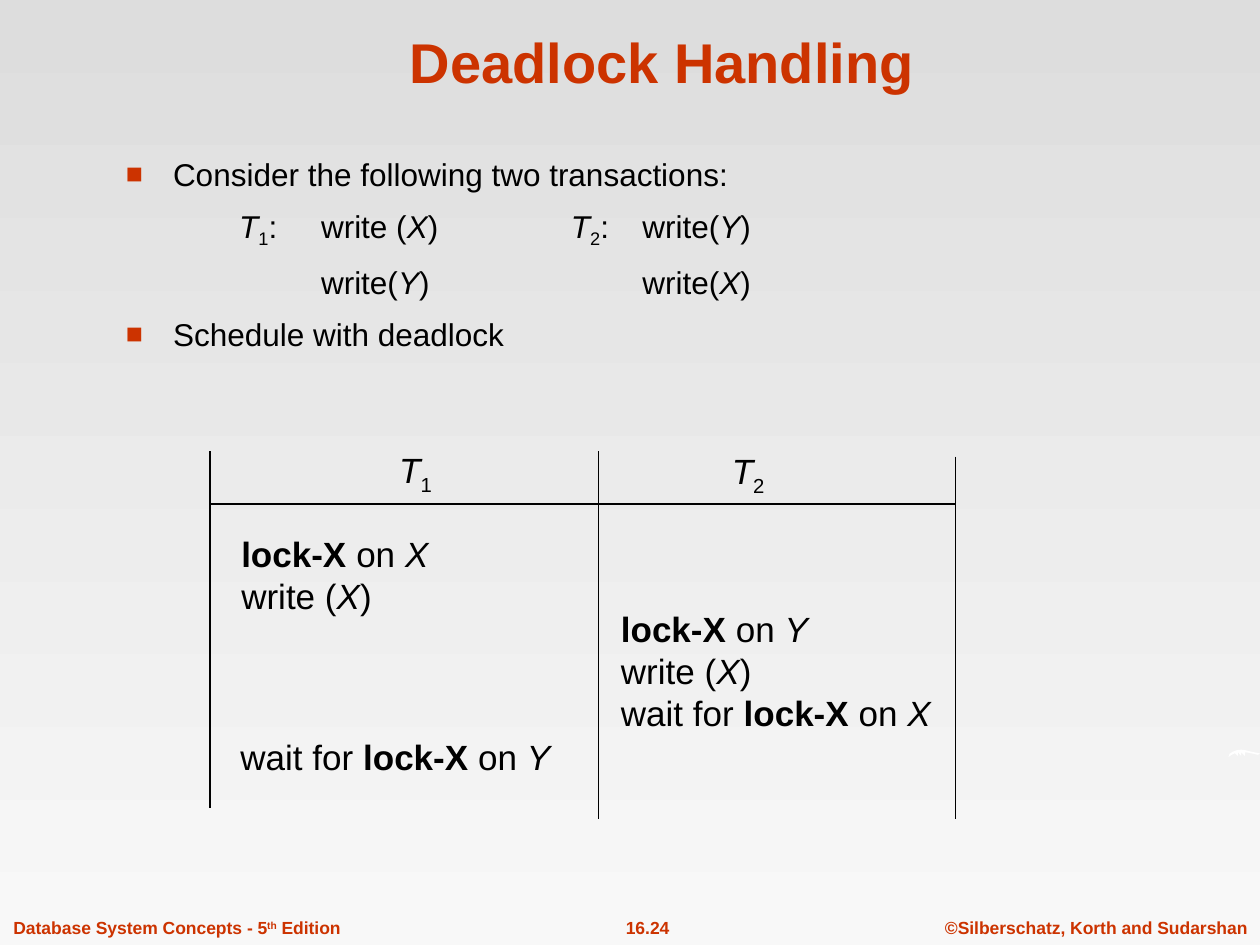
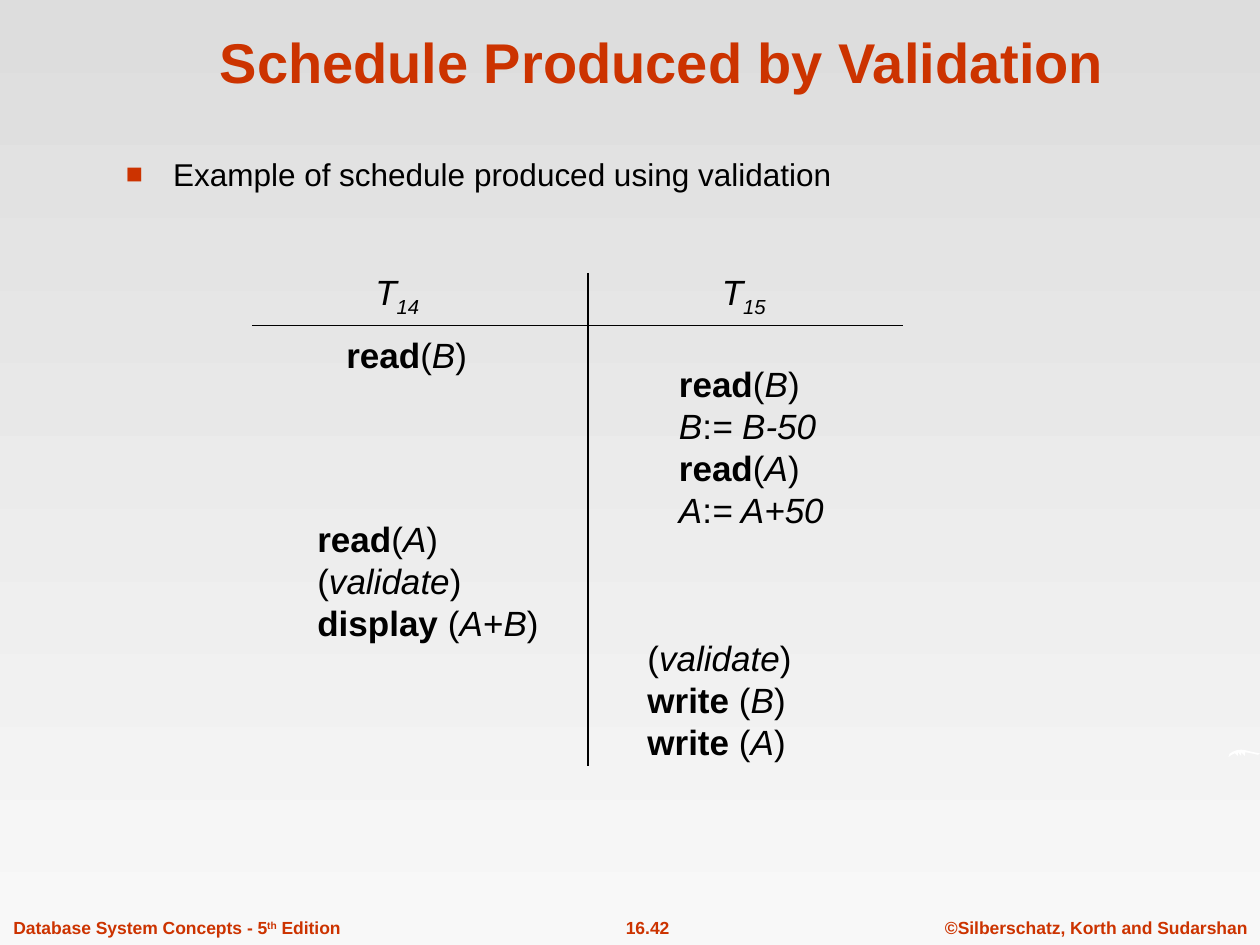
"""Build two slides on transaction schedules: deadlock handling and validation."""
import dataclasses
import typing

import pptx
import pptx.dml.color
import pptx.enum.dml
import pptx.enum.shapes
import pptx.enum.text
import pptx.oxml.ns
import pptx.presentation
import pptx.shapes.base
import pptx.slide
import pptx.text.text
import pptx.util
from lxml import etree

COLUMNS, ROWS = 120, 90
CELL = pptx.util.Inches(10) // COLUMNS
FONT = "Arial"
RUST, BLACK, WHITE = "CC3300", "000000", "FFFFFF"
BACKGROUND = ("DDDDDD", "F8F8F8")
LEFT = pptx.enum.text.PP_ALIGN.LEFT
CENTER = pptx.enum.text.PP_ALIGN.CENTER
TOP = pptx.enum.text.MSO_ANCHOR.TOP
BOTTOM = pptx.enum.text.MSO_ANCHOR.BOTTOM
TRANSACTION_TABS = (10.8, 18.6, 42.4, 49.2)
SWOOSH = (
    (117, 72.1), (117.1, 71.8), (117.4, 71.6), (117.8, 71.45), (118.2, 71.4),
    (118.6, 71.45), (119.2, 71.6), (119.7, 71.7), (120, 71.76), (119.8, 71.9),
    (119.4, 71.8), (118.9, 71.7), (118.6, 71.65), (118.56, 72), (118.2, 71.65),
    (118.2, 72), (117.9, 71.65), (117.9, 72), (117.6, 71.75), (117.3, 71.9),
)


class Run(typing.NamedTuple):
    """A stretch of text in one style."""
    text: str
    bold: bool = False
    italic: bool = False
    baseline: int = 0


Line = typing.Sequence[Run]


class Area(typing.NamedTuple):
    """A place on the grid."""
    left: float
    top: float
    width: float
    height: float


class Rule(typing.NamedTuple):
    """A straight line between two grid points."""
    x1: float
    y1: float
    x2: float
    y2: float


class Style(typing.NamedTuple):
    """The look of a block of text."""
    size: float
    color: str = BLACK
    bold: bool = False
    align: pptx.enum.text.PP_ALIGN = LEFT
    space_before: float = 0


class Point(typing.NamedTuple):
    """A paragraph of the body, either bulleted or set on tab stops."""
    runs: Line
    bulleted: bool = True


@dataclasses.dataclass(frozen=True)
class Step:
    """Lines of a schedule starting at a grid point."""
    left: float
    top: float
    width: float
    lines: typing.Sequence[Line]


@dataclasses.dataclass(frozen=True)
class Schedule:
    """The content of one slide."""
    title: str
    page: str
    points: typing.Sequence[Point]
    rules: typing.Sequence[Rule]
    steps: typing.Sequence[Step]


TITLE_STYLE = Style(32, RUST, True, CENTER)
BODY_STYLE = Style(18, space_before=7.9)
STEP_STYLE = Style(20)
FOOTER_STYLE = Style(10, RUST, True, CENTER, 6.2)
TITLE_AREA = Area(10.08, 1.56, 105.96, 8.04)
BODY_AREA = Area(10.8, 14.16, 101, 64.2)


def grid(cells: float) -> pptx.util.Emu:
    """Turn grid cells into a length."""
    return pptx.util.Emu(round(cells * CELL))


def rgb(value: str) -> pptx.dml.color.RGBColor:
    """Turn a hex string into a colour."""
    return pptx.dml.color.RGBColor.from_string(value)


def assign(target: object, values: typing.Mapping[str, object]) -> None:
    """Set each named attribute on the target."""
    for name, value in values.items():
        setattr(target, name, value)


def name_of(number: str, italic: bool = False) -> list[Run]:
    """Return the name of a transaction with its number lowered."""
    return [Run("T", italic=True), Run(number, italic=italic, baseline=-25)]


def operation(verb: str, item: str, bold: bool = False, gap: str = "") -> list[Run]:
    """Return an operation on an item in brackets."""
    return [Run(verb, bold), Run(gap + "("), Run(item, italic=True), Run(")")]


def lock(item: str, lead: str = "") -> list[Run]:
    """Return an exclusive lock on an item."""
    request = [Run("lock-X", True), Run(" on "), Run(item, italic=True)]
    return [Run(lead), *request] if lead else request


def assignment(item: str, change: str) -> list[Run]:
    """Return an assignment that changes an item."""
    return [Run(item, italic=True), Run(":"), Run(f"= {item}{change}", italic=True)]


VALIDATE = [Run("("), Run("validate", italic=True), Run(")")]


def write_line(paragraph: pptx.text.text._Paragraph, runs: Line, style: Style) -> None:
    """Write the runs of one paragraph."""
    assign(paragraph, {"alignment": style.align, "line_spacing": 1.0,
                       "space_before": pptx.util.Pt(style.space_before)})
    for part in runs:
        run = paragraph.add_run()
        run.text = part.text
        assign(run.font, {"name": FONT, "size": pptx.util.Pt(style.size),
                          "bold": part.bold or style.bold, "italic": part.italic})
        run.font.color.rgb = rgb(style.color)
        if part.baseline:
            run._r.get_or_add_rPr().set("baseline", str(part.baseline * 1000))


def write_lines(frame: pptx.text.text.TextFrame, lines: typing.Sequence[Line],
                style: Style, wrap: bool, anchor: pptx.enum.text.MSO_ANCHOR = TOP) -> None:
    """Fill a text frame with one paragraph per line."""
    assign(frame, {"word_wrap": wrap, "vertical_anchor": anchor,
                   "auto_size": pptx.enum.text.MSO_AUTO_SIZE.NONE})
    for index, runs in enumerate(lines):
        paragraph = frame.add_paragraph() if index else frame.paragraphs[0]
        write_line(paragraph, runs, style)


def place(shape: pptx.shapes.base.BaseShape, area: Area) -> None:
    """Move a shape to its area."""
    assign(shape, {side: grid(cells) for side, cells in area._asdict().items()})


def add_text(slide: pptx.slide.Slide, area: Area, lines: typing.Sequence[Line],
             style: Style, wrap: bool = False) -> pptx.text.text.TextFrame:
    """Add a text box and return its frame."""
    frame = slide.shapes.add_textbox(*map(grid, area)).text_frame
    write_lines(frame, lines, style, wrap)
    return frame


def add_child(parent: etree._Element, tag: str, **attributes: object) -> etree._Element:
    """Append a drawing element with its attributes."""
    values = {key: str(value) for key, value in attributes.items()}
    return etree.SubElement(parent, pptx.oxml.ns.qn(tag), values)


def add_bullet(paragraph: pptx.text.text._Paragraph) -> None:
    """Give a paragraph a square bullet and a hanging indent."""
    properties = paragraph._p.get_or_add_pPr()
    indent = grid(4.5)
    properties.set("marL", str(indent))
    properties.set("indent", str(-indent))
    add_child(add_child(properties, "a:buClr"), "a:srgbClr", val=RUST)
    add_child(properties, "a:buSzPct", val=90000)
    add_child(properties, "a:buFont", typeface=FONT)
    add_child(properties, "a:buChar", char="■")


def add_tabs(paragraph: pptx.text.text._Paragraph) -> None:
    """Give a paragraph the tab stops of the transactions."""
    stops = add_child(paragraph._p.get_or_add_pPr(), "a:tabLst")
    for stop in TRANSACTION_TABS:
        add_child(stops, "a:tab", pos=grid(stop), algn="l")


def add_body(slide: pptx.slide.Slide, points: typing.Sequence[Point]) -> None:
    """Add the body text."""
    frame = add_text(slide, BODY_AREA, [point.runs for point in points], BODY_STYLE, True)
    for paragraph, point in zip(frame.paragraphs, points):
        (add_bullet if point.bulleted else add_tabs)(paragraph)


def add_rule(slide: pptx.slide.Slide, rule: Rule) -> None:
    """Draw one line of the schedule."""
    straight = pptx.enum.shapes.MSO_CONNECTOR.STRAIGHT
    connector = slide.shapes.add_connector(straight, *map(grid, rule))
    connector.line.width = pptx.util.Pt(0.75)
    connector.line.color.rgb = rgb(BLACK)
    add_child(connector._element.spPr, "a:effectLst")


def add_swoosh(slide: pptx.slide.Slide) -> None:
    """Draw the white swoosh at the right edge."""
    start, *rest = [(grid(x), grid(y)) for x, y in SWOOSH]
    outline = slide.shapes.build_freeform(*start)
    outline.add_line_segments(rest, close=True)
    swoosh = outline.convert_to_shape()
    swoosh.shadow.inherit = False
    swoosh.fill.solid()
    swoosh.fill.fore_color.rgb = rgb(WHITE)
    swoosh.line.fill.background()


def add_footers(slide: pptx.slide.Slide, page: str) -> None:
    """Add the three footers along the bottom."""
    book = [Run("Database System Concepts - 5"), Run("th", baseline=30), Run(" Edition")]
    authors = [Run("©Silberschatz, Korth and Sudarshan")]
    for left, width, runs in ((88.8, 31.2, authors), (55.32, 12.72, [Run(page)]),
                              (0.12, 33.48, book)):
        add_text(slide, Area(left, 86.76, width, 3.24), [runs], FOOTER_STYLE)


def add_schedule(deck: pptx.presentation.Presentation, schedule: Schedule) -> None:
    """Add one slide with its schedule."""
    slide = deck.slides.add_slide(deck.slide_layouts[5])
    add_footers(slide, schedule.page)
    add_swoosh(slide)
    place(slide.shapes.title, TITLE_AREA)
    write_lines(slide.shapes.title.text_frame, [[Run(schedule.title)]], TITLE_STYLE, True, BOTTOM)
    add_body(slide, schedule.points)
    for rule in schedule.rules:
        add_rule(slide, rule)
    for step in schedule.steps:
        area = Area(step.left, step.top, step.width, 1.28 + 4 * len(step.lines))
        add_text(slide, area, step.lines, STEP_STYLE)


SCHEDULES = (
    Schedule(
        "Deadlock Handling", "16.24",
        (Point([Run("Consider the following two transactions:")]),
         Point([Run("\t"), *name_of("1"), Run(":\t"), *operation("write", "X", gap=" "),
                Run("\t"), *name_of("2"), Run(":\t"), *operation("write", "Y")], False),
         Point([Run("\t\t"), *operation("write", "Y"),
                Run("\t\t"), *operation("write", "X")], False),
         Point([Run("Schedule with deadlock")])),
        (Rule(20, 48, 91, 48), Rule(20, 43, 20, 77),
         Rule(57, 43, 57, 78), Rule(91, 43.5, 91, 78)),
        (Step(36.84, 42.12, 5.52, [name_of("1")]),
         Step(68.52, 42.24, 5.52, [name_of("2")]),
         Step(21.8, 50.16, 20.16, [lock("X"), operation("write", "X", gap=" ")]),
         Step(57.96, 57.24, 31.92, [lock("Y"), operation("write", "X", gap=" "),
                                    lock("X", "wait for ")]),
         Step(21.72, 69.48, 31.92, [lock("Y", "wait for ")]))),
    Schedule(
        "Schedule Produced by Validation", "16.42",
        (Point([Run("Example of schedule produced using validation")]),),
        (Rule(24, 31, 86, 31), Rule(56, 26, 56, 73)),
        (Step(34.56, 25.2, 6.6, [name_of("14", True)]),
         Step(67.56, 25.2, 6.6, [name_of("15", True)]),
         Step(31.8, 31.2, 13.92, [operation("read", "B", True)]),
         Step(63.48, 33.96, 16.32, [operation("read", "B", True), assignment("B", "-50"),
                                    operation("read", "A", True), assignment("A", "+50")]),
         Step(29.04, 48.72, 23.4, [operation("read", "A", True), VALIDATE,
                                   [Run("display", True), Run(" ("), Run("A", italic=True),
                                    Run("+"), Run("B", italic=True), Run(")")]]),
         Step(60.48, 60, 16.08, [VALIDATE, operation("write", "B", True, " "),
                                 operation("write", "A", True, " ")]))),
)


def main() -> None:
    """Build the deck and save it."""
    deck = pptx.Presentation()
    assign(deck, {"slide_width": grid(COLUMNS), "slide_height": grid(ROWS)})
    backdrop = deck.slide_master.background.fill
    backdrop.gradient()
    backdrop.gradient_angle = 270
    for stop, color in zip(backdrop.gradient_stops, BACKGROUND):
        stop.color.rgb = rgb(color)
    for schedule in SCHEDULES:
        add_schedule(deck, schedule)
    deck.save("out.pptx")


if __name__ == "__main__":
    main()
